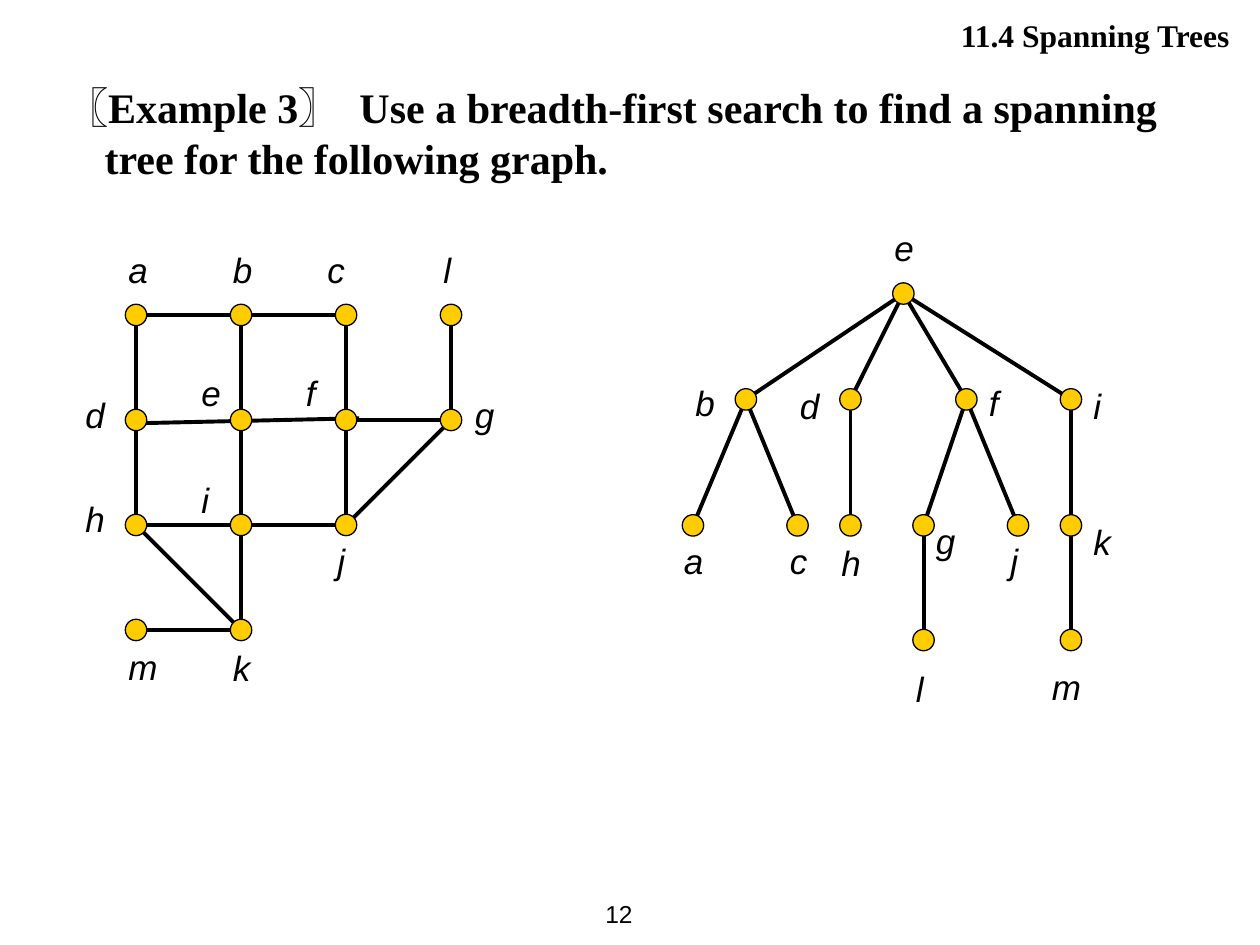
from pptx import Presentation
from pptx.dml.color import RGBColor
from pptx.enum import shapes, text
from pptx.oxml.ns import qn
from pptx.util import Inches, Pt
from lxml import etree

BLACK = RGBColor(0x00, 0x00, 0x00)
GOLD = RGBColor(0xFF, 0xCC, 0x00)
SANS, SERIF = "Arial", "Times New Roman"
NODE_SIZE = 0.17
GRID = 5 / 6
COLUMNS = [1.08 + GRID * step for step in range(4)]
ROWS = [2.5 + GRID * step for step in range(4)]

# Node name: centre x, centre y, label left, label top
GRAPH_NODES = {
    "a": (COLUMNS[0], ROWS[0], 0.92, 1.92),
    "b": (COLUMNS[1], ROWS[0], 1.75, 1.92),
    "c": (COLUMNS[2], ROWS[0], 2.5, 1.92),
    "l": (COLUMNS[3], ROWS[0], 3.42, 1.92),
    "d": (COLUMNS[0], ROWS[1], 0.58, 3.07),
    "e": (COLUMNS[1], ROWS[1], 1.5, 2.9),
    "f": (COLUMNS[2], ROWS[1], 2.33, 2.9),
    "g": (COLUMNS[3], ROWS[1], 3.67, 3.07),
    "h": (COLUMNS[0], ROWS[2], 0.58, 3.9),
    "i": (COLUMNS[1], ROWS[2], 1.5, 3.75),
    "j": (COLUMNS[2], ROWS[2], 2.58, 4.23),
    "m": (COLUMNS[0], ROWS[3], 0.92, 5.07),
    "k": (COLUMNS[1], ROWS[3], 1.75, 5.08),
}
GRAPH_EDGES = ["ab", "bc", "fg", "ah", "hj", "bi", "cj", "jg", "lg", "ik", "mk", "hk"]

TREE_NODES = {
    "e": (7.17, 2.33, 7, 1.75),
    "b": (5.92, 3.17, 5.42, 2.98),
    "d": (6.75, 3.17, 6.25, 3),
    "f": (7.67, 3.17, 7.75, 2.98),
    "i": (8.5, 3.17, 8.58, 3),
    "a": (5.5, 4.17, 5.33, 4.23),
    "c": (6.33, 4.17, 6.17, 4.23),
    "h": (6.75, 4.17, 6.58, 4.25),
    "g": (7.33, 4.17, 7.33, 4.07),
    "j": (8.08, 4.17, 7.92, 4.23),
    "k": (8.5, 4.17, 8.58, 4.08),
    "l": (7.33, 5.08, 7.17, 5.25),
    "m": (8.5, 5.08, 8.25, 5.23),
}
TREE_EDGES = ["eb", "ed", "ef", "ei", "ba", "bc", "dh", "fg", "fj", "ik", "km", "gl"]


def write_text(shape, words, *, size, font=SANS, bold=False, italic=False,
               align=text.PP_ALIGN.LEFT, anchor=text.MSO_ANCHOR.TOP, wrap=True):
    frame = shape.text_frame
    frame.word_wrap = wrap
    frame.auto_size = text.MSO_AUTO_SIZE.NONE
    frame.vertical_anchor = anchor
    paragraph = frame.paragraphs[0]
    paragraph.alignment = align
    run = paragraph.add_run()
    run.text = words
    run.font.name = font
    run.font.size = Pt(size)
    run.font.bold = bold
    run.font.italic = italic
    run.font.color.rgb = BLACK
    return paragraph


def add_text(container, left, top, width, height, words, **style):
    box = container.add_textbox(Inches(left), Inches(top), Inches(width), Inches(height))
    write_text(box, words, **style)


def add_edge(container, start, end):
    edge = container.add_connector(shapes.MSO_CONNECTOR.STRAIGHT,
                                   *(Inches(value) for value in (*start, *end)))
    edge.line.color.rgb = BLACK
    edge.line.width = Pt(2.25)
    etree.SubElement(edge._element.spPr, qn("a:effectLst"))


def add_node(container, x, y):
    node = container.add_shape(shapes.MSO_SHAPE.OVAL,
                               Inches(x - NODE_SIZE / 2), Inches(y - NODE_SIZE / 2),
                               Inches(NODE_SIZE), Inches(NODE_SIZE))
    node.shadow.inherit = False
    node.fill.solid()
    node.fill.fore_color.rgb = GOLD
    node.line.color.rgb = BLACK
    node.line.width = Pt(0.75)


def add_graph(container, nodes, edges):
    """Draw edges first, so that the nodes cover their ends."""
    for start, end in edges:
        add_edge(container, nodes[start][:2], nodes[end][:2])
    for name, (x, y, left, top) in nodes.items():
        add_text(container, left, top, 0.5, 0.43, name, size=20, italic=True)
    for x, y, *_ in nodes.values():
        add_node(container, x, y)


def set_title(slide, words):
    title = slide.shapes.title
    title.left, title.top = Inches(0.35), Inches(0.6)
    title.width, title.height = Inches(9.15), Inches(0.79)
    paragraph = write_text(title, words, size=24, font=SERIF, bold=True)
    properties = paragraph._p.get_or_add_pPr()
    properties.set("marL", str(Inches(0.38)))
    properties.set("indent", str(-Inches(0.38)))


def main():
    presentation = Presentation()
    presentation.slide_width, presentation.slide_height = Inches(10), Inches(7.5)
    slide = presentation.slides.add_slide(presentation.slide_layouts[5])
    set_title(slide, " 〖Example 3〗  Use a breadth-first search to find a "
                     "spanning tree for the following graph.")
    add_text(slide.shapes, 3.98, 0.08, 5.94, 0.4, " 11.4 Spanning Trees ",
             size=18, font=SERIF, bold=True, align=text.PP_ALIGN.RIGHT)

    graph = slide.shapes.add_group_shape().shapes
    add_edge(graph, (1.06, 3.36), (2.85, 3.32))  # the slightly tilted edge d-e-f
    add_graph(graph, GRAPH_NODES, GRAPH_EDGES)
    add_graph(slide.shapes, TREE_NODES, TREE_EDGES)

    add_text(slide.shapes, 4.45, 7, 0.67, 0.5, "12", size=14, wrap=False,
             align=text.PP_ALIGN.RIGHT, anchor=text.MSO_ANCHOR.MIDDLE)
    presentation.save("out.pptx")


if __name__ == "__main__":
    main()
